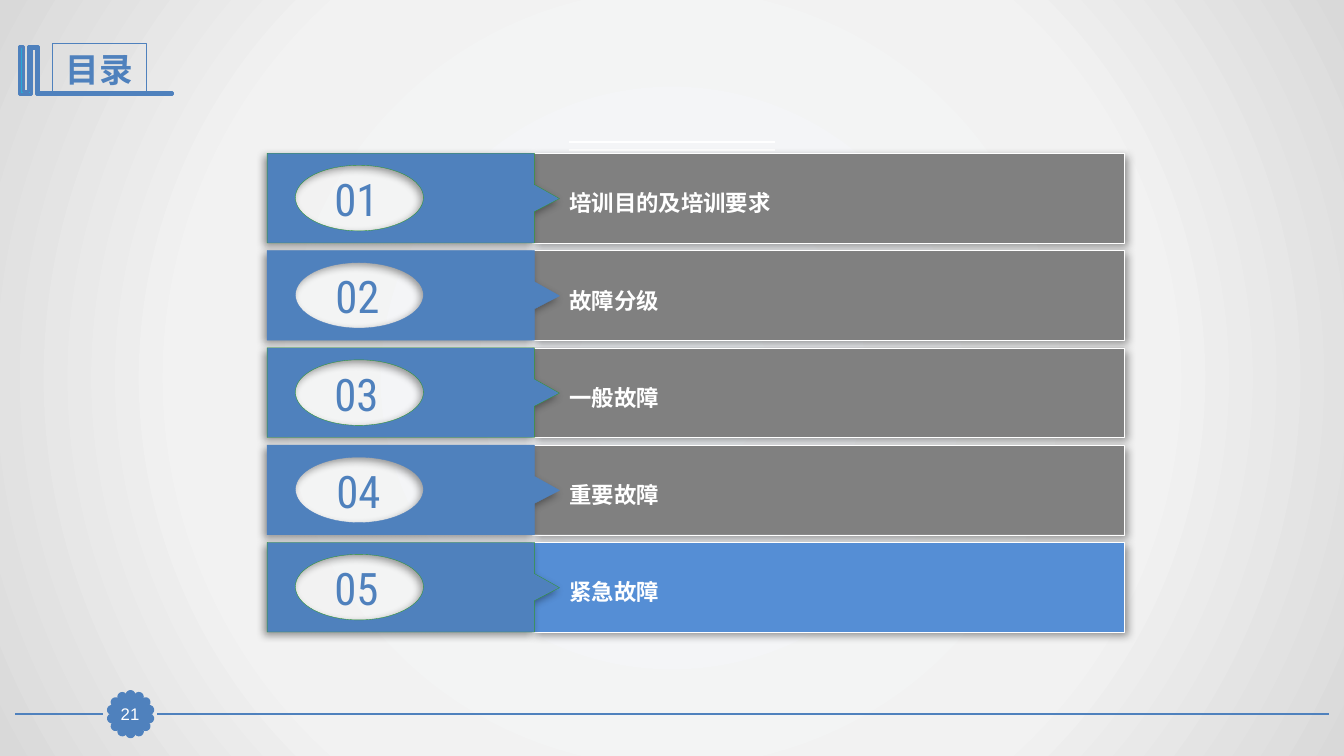
from math import cos, pi, sin
from lxml import etree
from pptx import Presentation
from pptx.dml.color import RGBColor
from pptx.enum.shapes import MSO_CONNECTOR, MSO_SHAPE
from pptx.enum.text import MSO_ANCHOR, MSO_AUTO_SIZE, PP_ALIGN
from pptx.oxml import parse_xml
from pptx.oxml.ns import qn
from pptx.util import Inches, Pt

LINE = MSO_CONNECTOR.STRAIGHT
RECT, OVAL = MSO_SHAPE.RECTANGLE, MSO_SHAPE.OVAL
MIDDLE, TOP = MSO_ANCHOR.MIDDLE, MSO_ANCHOR.TOP
LEFT, CENTER = PP_ALIGN.LEFT, PP_ALIGN.CENTER
BLUE, WHITE, GREEN, GRAY = "4F81BD", "FFFFFF", "339933", "808080"
HEAD = "Roboto Condensed"


def paint(shape, fill, edge, width, angle=None):
    shape.fill.solid()
    shape.fill.fore_color.rgb = RGBColor.from_string(fill)
    shape.line.color.rgb = RGBColor.from_string(edge)
    shape.line.width = Pt(width)
    shape.shadow.inherit = False
    if angle is not None:
        effects = shape._element.spPr.find(qn("a:effectLst"))
        shade = etree.SubElement(effects, qn("a:outerShdw"), blurRad=str(Pt(6)),
                                 dist=str(Pt(3)), dir=str(angle * 60000),
                                 algn="ctr", rotWithShape="0")
        black = etree.SubElement(shade, qn("a:srgbClr"), val="000000")
        etree.SubElement(black, qn("a:alpha"), val="40000")


def write(shape, text, size, font, color, align, anchor, bold=False):
    frame = shape.text_frame
    frame.word_wrap = True
    frame.auto_size = MSO_AUTO_SIZE.NONE
    frame.vertical_anchor = anchor
    para = frame.paragraphs[0]
    para.text = text
    para.alignment = align
    para.font.size = Pt(size)
    para.font.name = font
    para.font.bold = bold
    para.font.color.rgb = RGBColor.from_string(color)


deck = Presentation()
deck.slide_width, deck.slide_height = Inches(13.33), Inches(7.5)
slide = deck.slides.add_slide(deck.slide_layouts[5])
shapes = slide.shapes

slide.background.fill.gradient()
grad = slide.background._cSld.find(".//" + qn("a:gradFill"))
stops = "".join(f'<a:gs pos="{pos}000"><a:srgbClr val="{color}"/></a:gs>'
                for pos, color in [(0, "F6F9FC"), (63, "F2F2F2"), (100, "D9D9D9")])
grad.getparent().replace(grad, parse_xml(
    '<a:gradFill xmlns:a="http://schemas.openxmlformats.org/drawingml/2006/main" '
    f'rotWithShape="1"><a:gsLst>{stops}</a:gsLst><a:path path="circle">'
    '<a:fillToRect l="50000" t="50000" r="50000" b="50000"/></a:path></a:gradFill>'))

title = shapes.title
title.left, title.top = Inches(0.52), Inches(0.43)
title.width, title.height = Inches(0.93), Inches(0.51)
title.line.color.rgb = RGBColor.from_string(BLUE)
title.line.width = Pt(0.75)
write(title, "目录", 24, HEAD, BLUE, CENTER, MIDDLE, True)

marks = [(0.37, 0.46), (0.38, 0.46), (0.38, 0.92), (1.71, 0.92), (1.71, 0.94),
         (0.37, 0.94), (0.36, 0.94), (0.36, 0.48), (0.31, 0.48), (0.31, 0.94),
         (0.19, 0.94), (0.19, 0.46), (0.23, 0.46), (0.23, 0.91), (0.28, 0.91),
         (0.28, 0.46)]
points = [(Inches(x), Inches(y)) for x, y in marks]
pen = shapes.build_freeform(*points[0])
pen.add_line_segments(points[1:])
paint(pen.convert_to_shape(), "28A9D6", BLUE, 2)

for start, end, y, color, width in [(13.18, 1.56, 7.08, BLUE, 1.25),
                                    (1.02, 0.15, 7.08, BLUE, 1.25),
                                    (5.64, 7.69, 1.41, WHITE, 1.5),
                                    (5.64, 7.69, 1.49, WHITE, 1.5)]:
    rule = shapes.add_connector(LINE, Inches(start), Inches(y), Inches(end), Inches(y))
    rule.line.color.rgb = RGBColor.from_string(color)
    rule.line.width = Pt(width)
    etree.SubElement(rule._element.spPr, qn("a:effectLst"))

badge = shapes.add_group_shape().shapes
for i in range(14):
    turn = 2 * pi * i / 14
    petal = badge.add_shape(OVAL, Inches(1.26 + 0.19 * sin(turn)),
                            Inches(7.05 - 0.19 * cos(turn)), Inches(0.07), Inches(0.07))
    petal.rotation = 360 * i / 14
    paint(petal, BLUE, BLUE, 2)

page = shapes.add_shape(RECT, Inches(1.13), Inches(6.93), Inches(0.32), Inches(0.31))
paint(page, BLUE, BLUE, 0.75)
write(page, "21", 12, "Arial", WHITE, CENTER, MIDDLE)
frame = page.text_frame
frame.margin_left = frame.margin_right = frame.margin_top = frame.margin_bottom = 0

tab = [(2.65, 0), (5.3, 0), (5.3, 0.31), (5.55, 0.45), (5.3, 0.58),
       (5.3, 0.89), (2.65, 0.89)]
hole = [("moveTo", [(0.91, 0.12)]),
        ("cubicBezTo", [(0.56, 0.12), (0.28, 0.26), (0.28, 0.44)]),
        ("cubicBezTo", [(0.28, 0.62), (0.56, 0.77), (0.91, 0.77)]),
        ("cubicBezTo", [(1.26, 0.77), (1.55, 0.62), (1.55, 0.44)]),
        ("cubicBezTo", [(1.55, 0.26), (1.26, 0.12), (0.91, 0.12)]),
        ("close", [])]
topics = [("培训目的及培训要求", GRAY, GREEN, 3.03), ("故障分级", GRAY, BLUE, 3.04),
          ("一般故障", GRAY, GREEN, 3.03), ("重要故障", GRAY, BLUE, 3.05),
          ("紧急故障", "558ED5", GREEN, 3.03)]
for i, (topic, fill, edge, left) in enumerate(topics):
    top = 1.52 + 0.965 * i
    row = shapes.add_group_shape().shapes
    bar = row.add_shape(RECT, Inches(5.28), Inches(top), Inches(5.87), Inches(0.89))
    paint(bar, fill, WHITE, 0.25, 45)

    points = [(Inches(x), Inches(top + y)) for x, y in tab]
    pen = row.build_freeform(*points[0])
    pen.add_line_segments(points[1:])
    flag = pen.convert_to_shape()
    trace = flag._element.find(".//" + qn("a:path"))
    for verb, spots in hole:
        step = etree.SubElement(trace, qn("a:" + verb))
        for x, y in spots:
            etree.SubElement(step, qn("a:pt"), x=str(Inches(x)), y=str(Inches(y)))
    paint(flag, BLUE, edge, 0.25, 135)

    number = row.add_textbox(Inches(left), Inches(top + 0.13), Inches(1.01), Inches(0.64))
    write(number, f"{i + 1:02}", 32, HEAD, BLUE, CENTER, MIDDLE)
    label = row.add_textbox(Inches(5.55), Inches(top + 0.31), Inches(5.61), Inches(0.37))
    write(label, topic, 16, "Arial", WHITE, LEFT, TOP, True)

deck.save("out.pptx")
